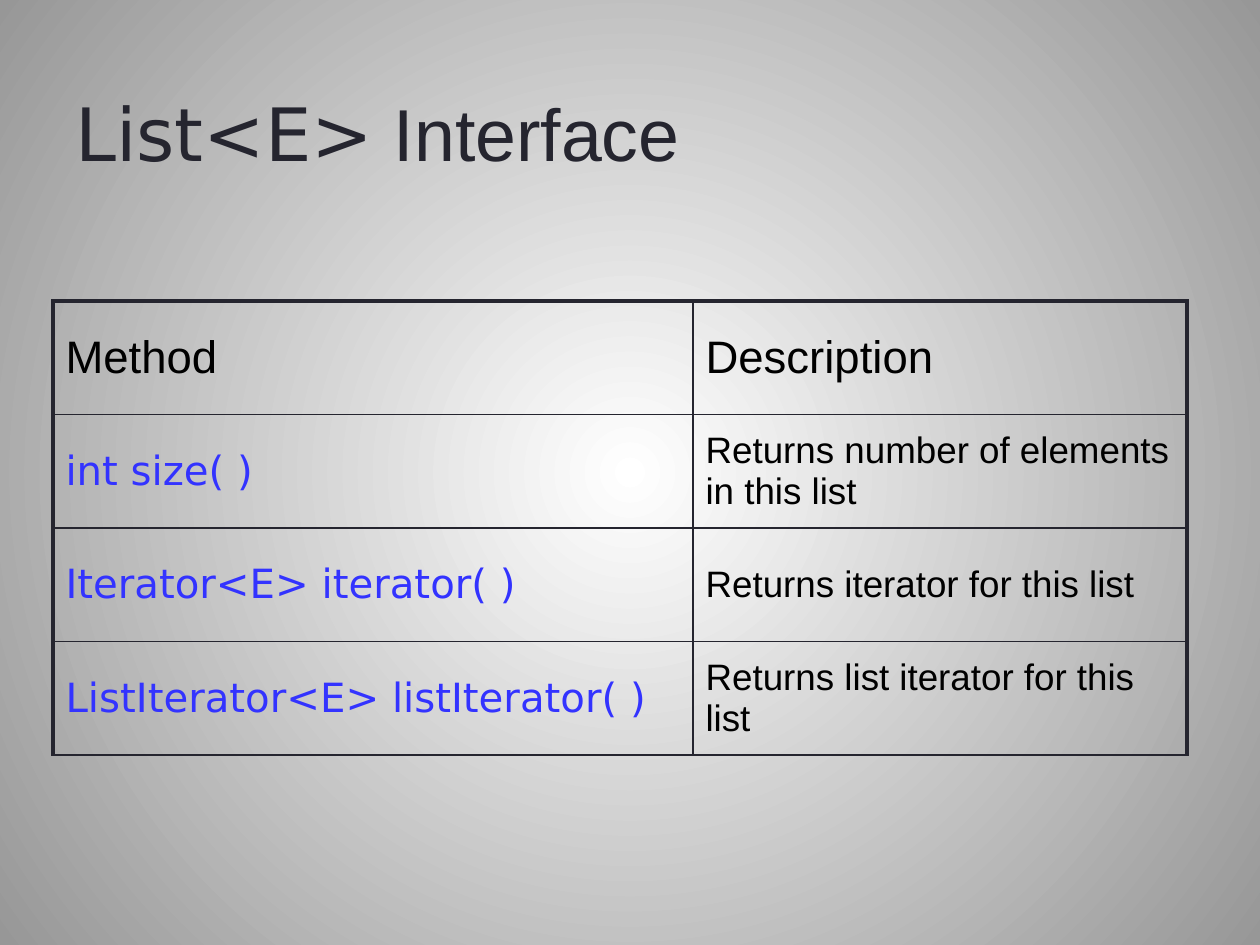
from lxml import etree
from pptx import Presentation
from pptx.dml.color import RGBColor
from pptx.enum.text import MSO_ANCHOR
from pptx.oxml.ns import qn
from pptx.util import Pt

MIDDLE = MSO_ANCHOR.MIDDLE
EMU_PER_PX = 9144
COLORS = {"ink": "25252F", "black": "000000", "code": "3333FF",
          "center": "FFFFFF", "edge": "979797"}
SANS, CODE = "Arial", "DejaVu Sans"
THIN, THICK = 1, 2.25
HEADER = ("Method", "Description")
METHODS = [
    ("int size( )", "Returns number of elements in this list"),
    ("Iterator<E> iterator( )", "Returns iterator for this list"),
    ("ListIterator<E> listIterator( )", "Returns list iterator for this list"),
]


def px(n):
    return n * EMU_PER_PX


def rgb(name):
    return RGBColor.from_string(COLORS[name])


class Deck:
    """Holds the presentation, its style and the current slide."""

    def __init__(self, width, height):
        self.prs = Presentation()
        self.prs.slide_width, self.prs.slide_height = px(width), px(height)
        self.s = self.prs.slides.add_slide(self.prs.slide_layouts[6])

    def font(self, font, name, size, color):
        font.name, font.size = name, Pt(size)
        font.color.rgb = rgb(color)

    def radial_background(self, center, edge):
        fill = self.s.background.fill
        fill.gradient()
        for stop, position, color in zip(fill.gradient_stops, (0, 1), (center, edge)):
            stop.position = position
            stop.color.rgb = rgb(color)
        grad = self.s.element.xpath(".//p:bg//a:gradFill")[0]
        grad.remove(grad.find(qn("a:lin")))
        path = etree.SubElement(grad, qn("a:path"), {"path": "circle"})
        etree.SubElement(path, qn("a:fillToRect"), dict.fromkeys("ltrb", "50000"))

    def text(self, x, y, w, h, runs, size, color):
        tf = self.s.shapes.add_textbox(px(x), px(y), px(w), px(h)).text_frame
        tf.word_wrap = True
        tf.vertical_anchor = MIDDLE
        p = tf.paragraphs[0]
        for text, name in runs:
            r = p.add_run()
            r.text = text
            self.font(r.font, name, size, color)

    def borders(self, cell, widths):
        tc_pr = cell._tc.get_or_add_tcPr()
        for i, (side, width) in enumerate(zip("LRTB", widths)):
            ln = etree.Element(qn(f"a:ln{side}"), {"w": str(Pt(width))})
            solid = etree.SubElement(ln, qn("a:solidFill"))
            etree.SubElement(solid, qn("a:srgbClr"), {"val": COLORS["ink"]})
            tc_pr.insert(i, ln)

    def table(self, x, y, col_widths, row_height, rows, header_style, body_styles):
        n_rows, n_cols = len(rows), len(col_widths)
        table = self.s.shapes.add_table(n_rows, n_cols, px(x), px(y), px(sum(col_widths)),
                                        px(row_height * n_rows)).table
        table.first_row = table.horz_banding = False
        for col, width in zip(table.columns, col_widths):
            col.width = px(width)
        for i, row in enumerate(rows):
            for j, text in enumerate(row):
                cell = table.cell(i, j)
                cell.text = text
                cell.vertical_anchor = MIDDLE
                cell.fill.background()
                style = body_styles[j] if i else header_style
                self.font(cell.text_frame.paragraphs[0].font, *style)
                outer = (j == 0, j == n_cols - 1, i == 0, False)
                self.borders(cell, [THICK if edge else THIN for edge in outer])


def main():
    deck = Deck(1000, 750)
    deck.radial_background("center", "edge")
    deck.text(50, 21, 883, 167, [("List<E>", CODE), (" Interface", SANS)], 42, "ink")
    deck.table(42, 239, (508, 392), 90, [HEADER, *METHODS], (SANS, 26, "black"),
               [(CODE, 23, "code"), (SANS, 21, "black")])
    deck.prs.save("out.pptx")


if __name__ == "__main__":
    main()
